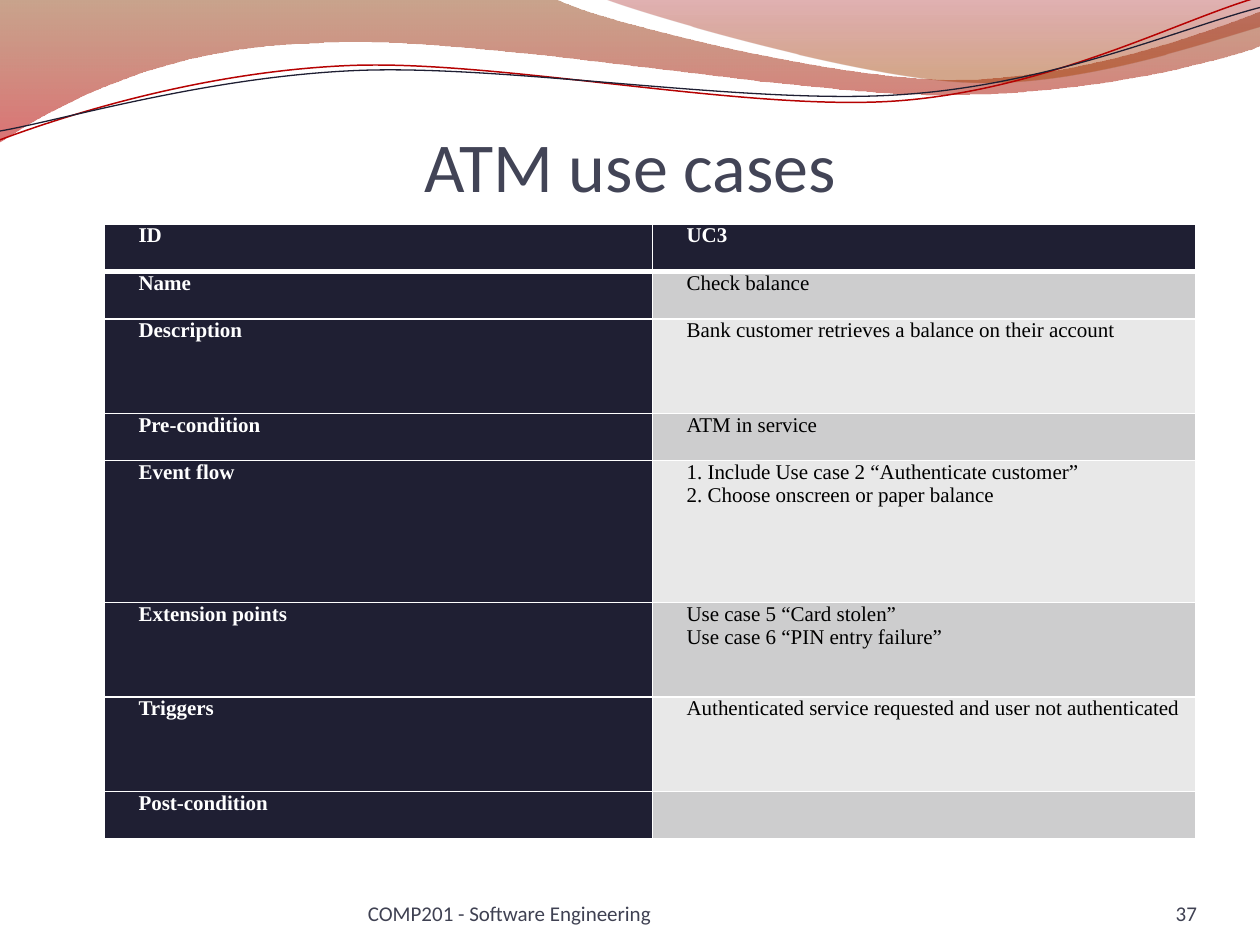
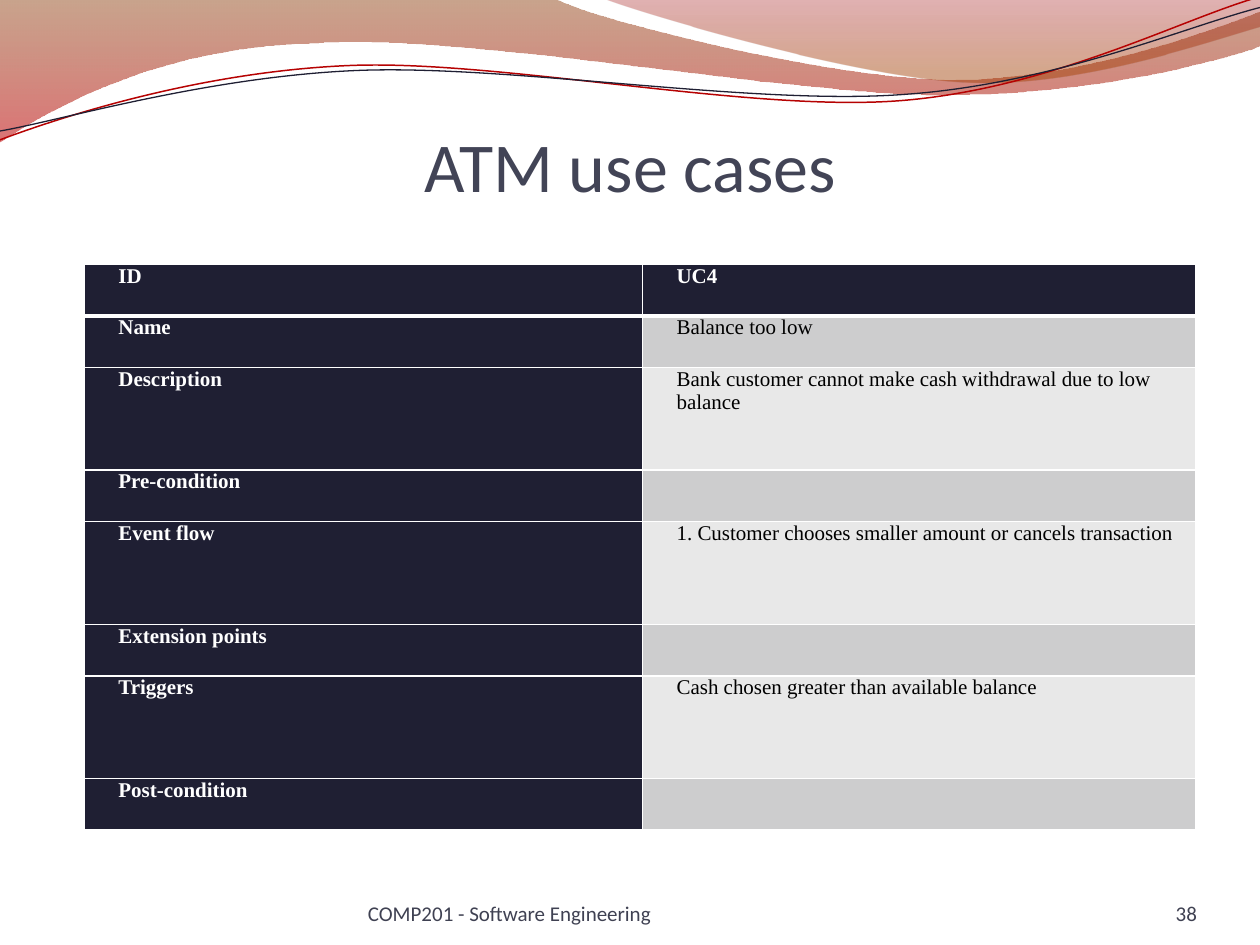
import math
from dataclasses import dataclass
from typing import NamedTuple, Optional

import pptx
import pptx.dml.color
import pptx.enum.text
import pptx.oxml
import pptx.oxml.ns
import pptx.util
from pptx.util import Inches

Align = pptx.enum.text.PP_ALIGN
Anchor = pptx.enum.text.MSO_ANCHOR
qn = pptx.oxml.ns.qn
Point = tuple[float, float]


# Theme: colours, fonts and sizes shared by both slides
@dataclass(frozen=True)
class Theme:
    title_color: str = "424456"
    footer_color: str = "3F4152"
    navy: str = "1F1F33"
    white: str = "FFFFFF"
    black: str = "000000"
    bands: tuple[str, str] = ("CDCDCE", "E8E8E8")
    heading_font: str = "Calibri"
    table_font: str = "Times New Roman"
    title_size: float = 40
    body_size: float = 12
    rule: float = 1
    header_rule: float = 3


THEME = Theme()
COURSE = "COMP201 - Software Engineering"
FIELDS = ("ID", "Name", "Description", "Pre-condition", "Event flow",
          "Extension points", "Triggers", "Post-condition")


class Stop(NamedTuple):
    position: float
    color: str
    opacity: int


@dataclass(frozen=True)
class Wave:
    """A start point, then steps: one point is a line, three are a curve."""
    start: Point
    steps: tuple[tuple[Point, ...], ...]
    gradient: tuple[Stop, ...] = ()
    line_color: Optional[str] = None
    line_width: float = 0
    tilt: float = 0
    pivot: Point = (0, 0)


@dataclass(frozen=True)
class UseCase:
    page: int
    left: float
    top: float
    height: float
    columns: tuple[float, float]
    row_units: tuple[int, ...]
    values: tuple[tuple[str, ...], ...]


WAVES = (
    Wave(start=(0, 0),
         steps=(((4.4, -0.01),),
                ((4.76, 0.17), (6.64, 0.63), (7.58, 0.63)),
                ((8.53, 0.63), (9.58, 0.26), (10, 0.09)),
                ((10.01, 0.36),),
                ((9.83, 0.44), (8.7, 0.76), (7.46, 0.75)),
                ((6.22, 0.75), (3.82, 0.28), (2.57, 0.34)),
                ((1.29, 0.36), (0.46, 0.83), (-0.01, 1.13))),
         gradient=(Stop(0, "883400", 45), Stop(1, "BD0000", 55))),
    Wave(start=(4.79, -0.01),
         steps=(((5.09, 0.11), (6.82, 0.62), (7.69, 0.65)),
                ((8.56, 0.69), (9.61, 0.32), (10, 0.21)),
                ((10, 0),)),
         gradient=(Stop(0, "9A0000", 30), Stop(0.8, "A23E00", 45))),
    Wave(start=(0, 1.11),
         steps=(((0.48, 0.93), (1.58, 0.57), (2.77, 0.52)),
                ((3.95, 0.47), (5.93, 0.89), (7.13, 0.8)),
                ((8.33, 0.71), (9.38, 0.15), (9.98, -0.02))),
         line_color="B60202", line_width=0.85, tilt=-2.7, pivot=(4.99, 0.57)),
    Wave(start=(0, 1.04),
         steps=(((0.47, 0.96), (1.64, 0.61), (2.83, 0.56)),
                ((4.03, 0.51), (5.97, 0.84), (7.17, 0.75)),
                ((8.36, 0.67), (9.41, 0.21), (10, 0.06))),
         line_color=THEME.navy, line_width=0.75, tilt=-2.7, pivot=(5, 0.59)),
)

USE_CASES = (
    UseCase(page=37, left=0.83, top=1.78, height=4.88, columns=(4.35, 4.31),
            row_units=(1, 1, 2, 1, 3, 2, 2, 1),
            values=(("UC3",), ("Check balance",),
                    ("Bank customer retrieves a balance on their account",),
                    ("ATM in service",),
                    ("1. Include Use case 2 “Authenticate customer”",
                     "2. Choose onscreen or paper balance"),
                    ("Use case 5 “Card stolen”",
                     "Use case 6 “PIN entry failure”"),
                    ("Authenticated service requested and user not authenticated",),
                    ())),
    UseCase(page=38, left=0.67, top=2.1, height=4.49, columns=(4.43, 4.39),
            row_units=(1, 1, 2, 1, 2, 1, 2, 1),
            values=(("UC4",), ("Balance too low",),
                    ("Bank customer cannot make cash withdrawal due to low balance",),
                    (),
                    ("1. Customer chooses smaller amount or cancels transaction",),
                    (),
                    ("Cash chosen greater than available balance",),
                    ())),
)


def rgb(color: str) -> pptx.dml.color.RGBColor:
    return pptx.dml.color.RGBColor.from_string(color)


def write(frame, *lines: str, font: str, size: float, color: str,
          bold: bool = False, align=Align.LEFT, indent: float = 0) -> None:
    """Fill a text frame with one paragraph per line."""
    for number, line in enumerate(lines):
        paragraph = frame.add_paragraph() if number else frame.paragraphs[0]
        paragraph.alignment = align
        if indent:
            properties = paragraph._p.get_or_add_pPr()
            properties.set("marL", str(Inches(indent)))
            properties.set("indent", "0")
        run = paragraph.add_run()
        run.text = line
        run.font.name = font
        run.font.size = pptx.util.Pt(size)
        run.font.bold = bold
        run.font.color.rgb = rgb(color)


def add_label(slide, text: str, left: float, top: float, width: float,
              height: float, top_inset: float = 0, **text_format) -> None:
    box = slide.shapes.add_textbox(Inches(left), Inches(top),
                                   Inches(width), Inches(height))
    frame = box.text_frame
    frame.word_wrap = True
    frame.vertical_anchor = Anchor.BOTTOM
    frame.margin_left = frame.margin_right = frame.margin_bottom = 0
    frame.margin_top = Inches(top_inset)
    write(frame, text, font=THEME.heading_font, **text_format)


# Wave header
def level(point: Point, wave: Wave) -> Point:
    """Place a point in EMU as it lies before the wave is tilted."""
    angle = math.radians(-wave.tilt)
    dx, dy = (value - centre for value, centre in zip(point, wave.pivot))
    return (Inches(wave.pivot[0] + dx * math.cos(angle) - dy * math.sin(angle)),
            Inches(wave.pivot[1] + dx * math.sin(angle) + dy * math.cos(angle)))


def bend(shape, wave: Wave) -> None:
    """Join each three line segments of a curved step into one Bezier."""
    segments = iter(list(shape._element.iter(qn("a:lnTo"))))
    for step in wave.steps:
        first, *others = [next(segments) for _ in step]
        if others:
            curve = first.makeelement(qn("a:cubicBezTo"), {})
            first.addprevious(curve)
            for segment in (first, *others):
                curve.append(segment[0])
                segment.getparent().remove(segment)


def add_wave(slide, wave: Wave):
    builder = slide.shapes.build_freeform(*level(wave.start, wave))
    builder.add_line_segments([level(point, wave) for step in wave.steps for point in step],
                              close=bool(wave.gradient))
    shape = builder.convert_to_shape()
    bend(shape, wave)
    shape.rotation = wave.tilt
    shape.shadow.inherit = False
    if wave.gradient:
        shape.line.fill.background()
        shape.fill.gradient()
        shape.fill.gradient_angle = 270
        for stop, wanted in zip(shape.fill.gradient_stops, wave.gradient):
            stop.position = wanted.position
            stop.color.rgb = rgb(wanted.color)
            color = stop._gs.find(qn("a:srgbClr"))
            color.append(color.makeelement(qn("a:alpha"),
                                           {"val": str(wanted.opacity * 1000)}))
    else:
        shape.fill.background()
        shape.line.color.rgb = rgb(wave.line_color)
        shape.line.width = pptx.util.Pt(wave.line_width)
    return shape


def add_header_to_layout(slide) -> None:
    """Draw the waves, then hand them to the layout so every slide shows them."""
    for wave in WAVES:
        shape = add_wave(slide, wave)
        slide.slide_layout.shapes._spTree.append(shape._element)


# Use case table
def set_borders(cell, top: float, bottom: float) -> None:
    properties = cell._tc.get_or_add_tcPr()
    widths = {"L": THEME.rule, "R": THEME.rule, "T": top, "B": bottom}
    for side, width in widths.items():
        properties.append(pptx.oxml.parse_xml(
            f'<a:ln{side} {pptx.oxml.ns.nsdecls("a")} w="{pptx.util.Pt(width)}">'
            f'<a:solidFill><a:srgbClr val="{THEME.white}"/></a:solidFill></a:ln{side}>'))


def add_use_case_table(slide, case: UseCase) -> None:
    table = slide.shapes.add_table(
        len(FIELDS), 2, Inches(case.left), Inches(case.top),
        Inches(sum(case.columns)), Inches(case.height)).table
    table.first_row = table.horz_banding = False
    for column, width in zip(table.columns, case.columns):
        column.width = Inches(width)
    unit = case.height / sum(case.row_units)
    for index, (field, value) in enumerate(zip(FIELDS, case.values)):
        table.rows[index].height = Inches(unit * case.row_units[index])
        for column, lines in enumerate(((field,), value)):
            cell = table.cell(index, column)
            heading = index == 0 or column == 0
            set_borders(cell,
                        top=THEME.header_rule if index == 1 else THEME.rule,
                        bottom=THEME.header_rule if index == 0 else THEME.rule)
            cell.fill.solid()
            cell.fill.fore_color.rgb = rgb(
                THEME.navy if heading else THEME.bands[(index - 1) % 2])
            cell.margin_left = cell.margin_right = Inches(0.07)
            cell.margin_top = cell.margin_bottom = 0
            write(cell.text_frame, *lines, font=THEME.table_font,
                  size=THEME.body_size, bold=heading, indent=0.2,
                  color=THEME.white if heading else THEME.black)


def add_use_case_slide(deck, case: UseCase):
    slide = deck.slides.add_slide(deck.slide_layouts[6])
    add_label(slide, "ATM use cases", 0.5, 0.77, 9, 0.87, top_inset=0.05,
              size=THEME.title_size, color=THEME.title_color, align=Align.CENTER)
    add_use_case_table(slide, case)
    footer = {"size": THEME.body_size, "color": THEME.footer_color}
    add_label(slide, COURSE, 2.92, 6.95, 3.67, 0.4, **footer)
    add_label(slide, str(case.page), 8.67, 6.95, 0.83, 0.4, align=Align.RIGHT, **footer)
    return slide


def main() -> None:
    deck = pptx.Presentation()
    deck.slide_width, deck.slide_height = Inches(10), Inches(7.5)
    slides = [add_use_case_slide(deck, case) for case in USE_CASES]
    add_header_to_layout(slides[0])
    deck.save("out.pptx")


if __name__ == "__main__":
    main()
